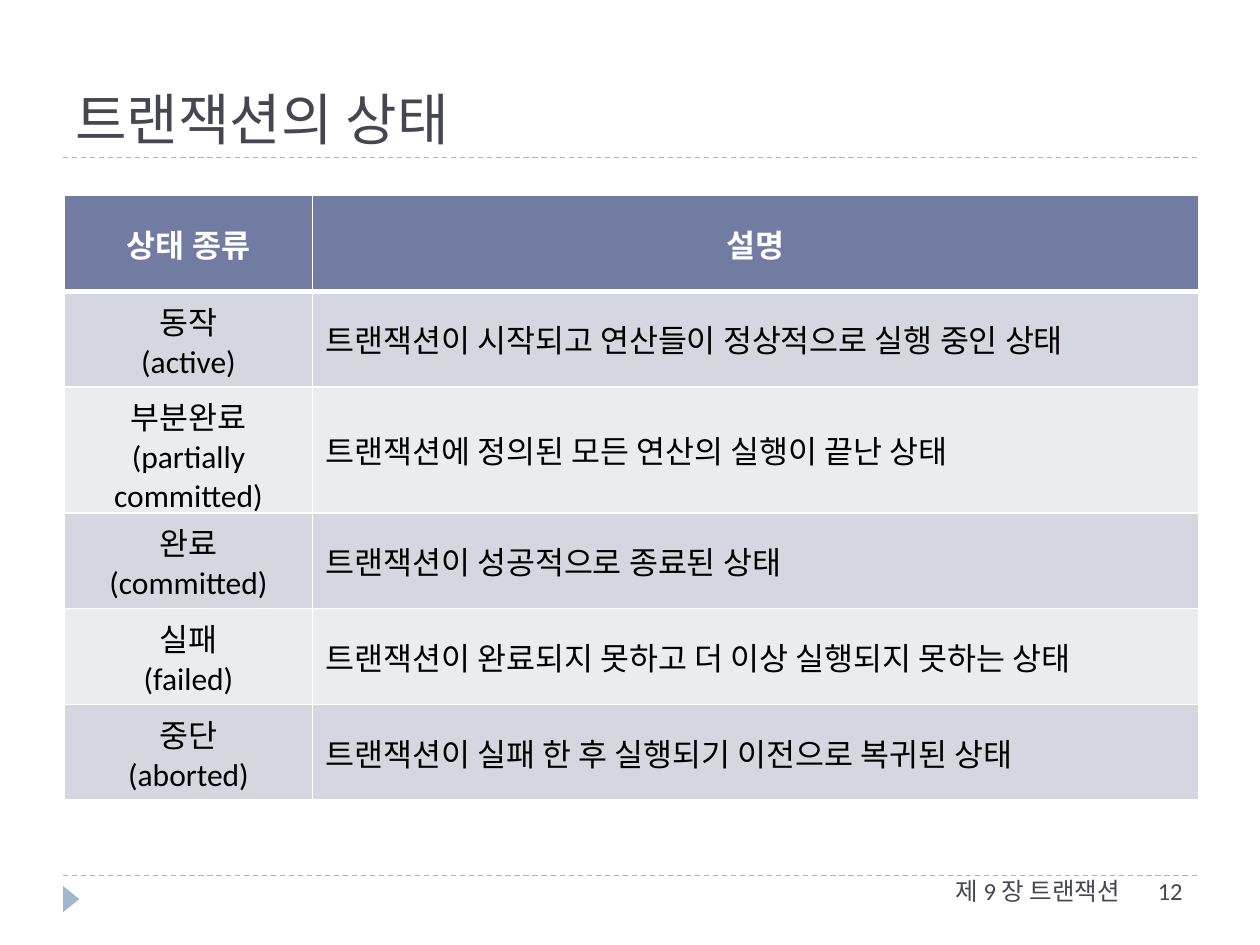
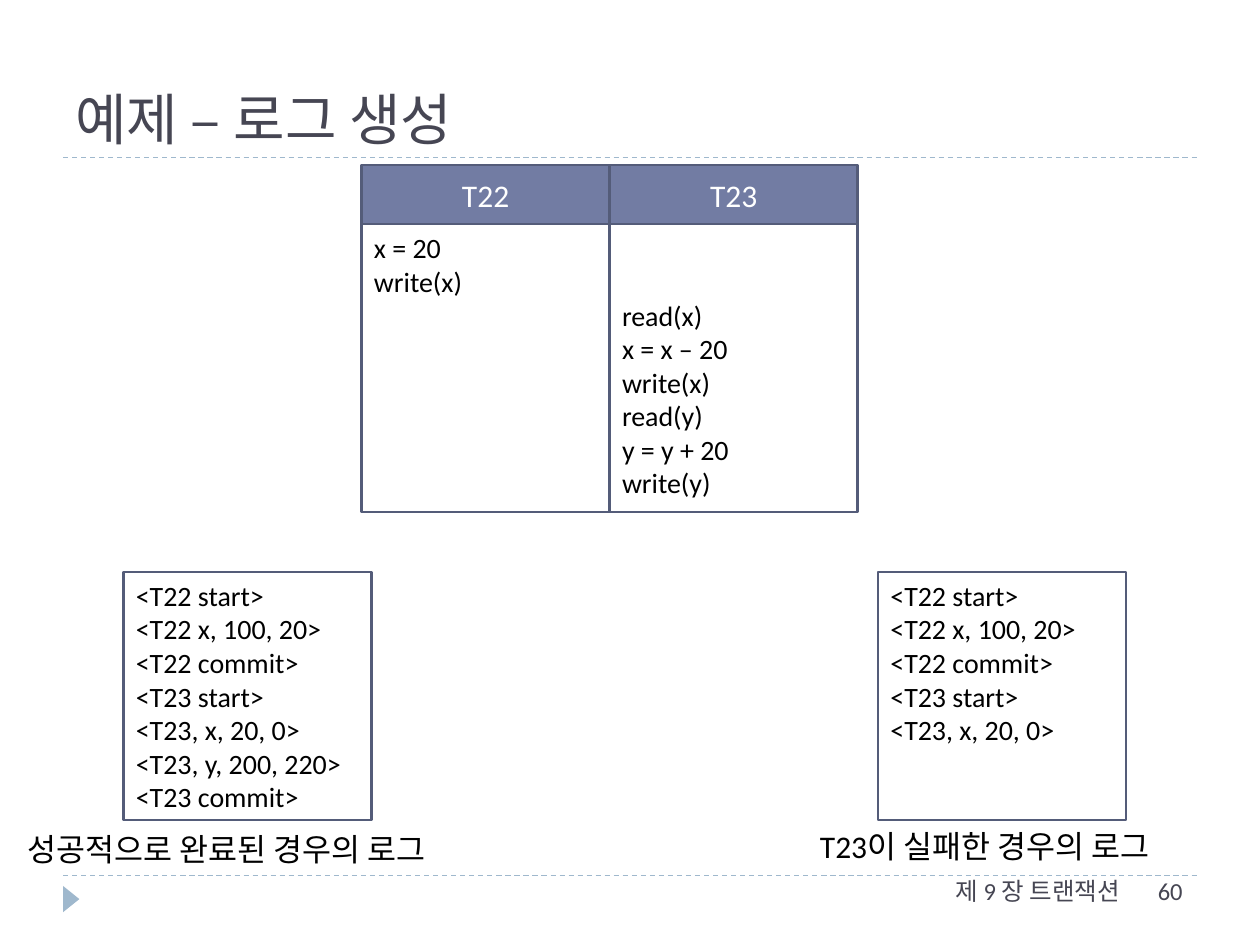
from dataclasses import dataclass
from lxml import etree
from pptx import Presentation, util as u
from pptx.dml.color import RGBColor
from pptx.enum import dml, shapes, text
from pptx.oxml import ns


@dataclass(frozen=True)
class Theme:
    ink: str = "464653"
    rule: str = "9FB8CD"
    header: str = "727CA3"
    outline: str = "545C79"
    bands: tuple = ("D5D7E0", "EBECF0")
    white: str = "FFFFFF"
    black: str = "000000"
    body_font: str = "Calibri"
    title_size: int = 32
    label_size: int = 18
    code_size: int = 16
    footer_size: int = 14


THEME = Theme()
LEFT, CENTER, RIGHT = text.PP_ALIGN.LEFT, text.PP_ALIGN.CENTER, text.PP_ALIGN.RIGHT
TOP, MIDDLE, BOTTOM = text.MSO_ANCHOR.TOP, text.MSO_ANCHOR.MIDDLE, text.MSO_ANCHOR.BOTTOM

# Content
CHAPTER = "제 9 장 트랜잭션"
STATES_TITLE, STATES_PAGE = "트랜잭션의 상태", "12"
STATES_HEADER = ("상태 종류", "설명")
STATES = [
    (("동작", "(active)"), "트랜잭션이 시작되고 연산들이 정상적으로 실행 중인 상태"),
    (("부분완료", "(partially committed)"), "트랜잭션에 정의된 모든 연산의 실행이 끝난 상태"),
    (("완료", "(committed)"), "트랜잭션이 성공적으로 종료된 상태"),
    (("실패", "(failed)"), "트랜잭션이 완료되지 못하고 더 이상 실행되지 못하는 상태"),
    (("중단", "(aborted)"), "트랜잭션이 실패 한 후 실행되기 이전으로 복귀된 상태"),
]
LOG_TITLE, LOG_PAGE = "예제 – 로그 생성", "60"
# Transaction name, its operations, and the step at which it begins
SCHEDULE = [
    ("T22", ["x = 20", "write(x)"], 0),
    ("T23", ["read(x)", "x = x – 20", "write(x)", "read(y)", "y = y + 20", "write(y)"], 2),
]
COMMON_LOG = ["<T22 start>", "<T22 x, 100, 20>", "<T22 commit>",
              "<T23 start>", "<T23, x, 20, 0>"]
# Log records and left edge, then caption with its left, top and width
LOGS = [
    (COMMON_LOG + ["<T23, y, 200, 220>", "<T23 commit>"], 2.49,
     "성공적으로 완료된 경우의 로그", (0.3, 16.61, 9.37)),
    (COMMON_LOG, 17.7, "T23이 실패한 경우의 로그", (16.28, 16.54, 7.85)),
]

# Shared measures, in centimetres
MARGIN, CONTENT_W = 1.27, 22.86
TITLE_RULE_Y, FOOTER_RULE_Y = 3.18, 17.65
BOX_W, INSET_Y, CODE_LINE = 5.0, 0.13, 0.68


def cm(*lengths):
    return [u.Cm(length) for length in lengths]


def rgb(colour):
    return RGBColor.from_string(colour)


def write(frame, lines, size, colour, align=LEFT, anchor=TOP, font=THEME.body_font, bold=False):
    frame.text = "\n".join(lines)
    frame.vertical_anchor = anchor
    for paragraph in frame.paragraphs:
        paragraph.alignment = align
        paragraph.font.name = font
        paragraph.font.size = u.Pt(size)
        paragraph.font.bold = bold
        paragraph.font.color.rgb = rgb(colour)


def add_label(slide, place, line, size, colour, wrap=True, **style):
    label = slide.shapes.add_textbox(*cm(*place))
    label.text_frame.word_wrap = wrap
    write(label.text_frame, [line], size, colour, **style)


def add_box(slide, place, fill, lines, size, colour, skipped=0, **style):
    box = slide.shapes.add_shape(shapes.MSO_SHAPE.RECTANGLE, *cm(*place))
    box.shadow.inherit = False
    box.fill.solid()
    box.fill.fore_color.rgb = rgb(fill)
    box.line.color.rgb = rgb(THEME.outline)
    box.line.width = u.Pt(1.5)
    box.text_frame.word_wrap = True
    box.text_frame.margin_top = u.Cm(INSET_Y + skipped * CODE_LINE)
    write(box.text_frame, lines, size, colour, **style)


def add_page(deck, title, title_font, page):
    slide = deck.slides.add_slide(deck.slide_layouts[6])
    # Dashed rules under the title and above the footer
    for y in (FOOTER_RULE_Y, TITLE_RULE_Y):
        rule = slide.shapes.add_connector(
            shapes.MSO_CONNECTOR.STRAIGHT, *cm(MARGIN, y, MARGIN + CONTENT_W, y))
        rule.line.color.rgb = rgb(THEME.rule)
        rule.line.width = u.Pt(0.75)
        rule.line.dash_style = dml.MSO_LINE.DASH
        etree.SubElement(rule.element.spPr, ns.qn("a:effectLst"))
    # Footer marker
    marker = slide.shapes.add_shape(
        shapes.MSO_SHAPE.ISOSCELES_TRIANGLE, *cm(1.17, 17.96, 0.53, 0.33))
    marker.rotation = 90
    marker.shadow.inherit = False
    marker.fill.solid()
    marker.fill.fore_color.rgb = rgb(THEME.rule)
    marker.line.fill.background()
    # Title and footer text
    add_label(slide, (MARGIN, 0.43, CONTENT_W, 2.75), title, THEME.title_size, THEME.ink,
              font=title_font, anchor=BOTTOM)
    add_label(slide, (13.18, 17.53, 9.65, 1.02), CHAPTER, THEME.footer_size, THEME.ink,
              align=RIGHT)
    add_label(slide, (23.09, 17.53, 1.8, 1.02), page, THEME.footer_size, THEME.ink)
    return slide


def style_cell(cell, fill, bottom_width):
    for side, width in (("L", 1), ("R", 1), ("T", 1), ("B", bottom_width)):
        border = etree.SubElement(cell._tc.get_or_add_tcPr(), ns.qn(f"a:ln{side}"),
                                  w=str(u.Pt(width)))
        paint = etree.SubElement(border, ns.qn("a:solidFill"))
        etree.SubElement(paint, ns.qn("a:srgbClr"), val=THEME.white)
    cell.fill.solid()
    cell.fill.fore_color.rgb = rgb(fill)


def build_states(deck):
    slide = add_page(deck, STATES_TITLE, "Arial", STATES_PAGE)
    row_h = 1.93
    rows = len(STATES) + 1
    states = slide.shapes.add_table(
        rows, 2, *cm(1.3, 3.94, CONTENT_W, row_h * rows)).table
    states.horz_banding = False
    for column, width in zip(states.columns, (BOX_W, CONTENT_W - BOX_W)):
        column.width = u.Cm(width)
    # Header row
    for col, heading in enumerate(STATES_HEADER):
        cell = states.cell(0, col)
        style_cell(cell, THEME.header, 3)
        write(cell.text_frame, [heading], THEME.label_size, THEME.white, CENTER, bold=True)
        cell.vertical_anchor = MIDDLE
    # One row per state
    for row, (names, description) in enumerate(STATES, 1):
        for col, (lines, align) in enumerate(((names, CENTER), ([description], LEFT))):
            cell = states.cell(row, col)
            style_cell(cell, THEME.bands[(row - 1) % 2], 1)
            write(cell.text_frame, lines, THEME.label_size, THEME.black, align)
            cell.vertical_anchor = MIDDLE


def build_logs(deck):
    slide = add_page(deck, LOG_TITLE, "Roboto Slab", LOG_PAGE)
    # Schedule: a heading above the operations of each transaction
    top, heading_h, steps_h = 3.33, 1.19, 5.8
    for index, (name, operations, start) in enumerate(SCHEDULE):
        left = 7.29 + index * BOX_W
        add_box(slide, (left, top, BOX_W, heading_h), THEME.header, [name],
                THEME.label_size, THEME.white, align=CENTER, anchor=MIDDLE)
        add_box(slide, (left, top + heading_h, BOX_W, steps_h), THEME.white, operations,
                THEME.code_size, THEME.black, skipped=start)
    # Resulting logs with captions
    for records, left, caption, (x, y, width) in LOGS:
        add_box(slide, (left, 11.53, BOX_W, BOX_W), THEME.white, records,
                THEME.code_size, THEME.black)
        add_label(slide, (x, y, width, 1.02), caption, THEME.label_size, THEME.black,
                  wrap=False)


def main():
    deck = Presentation()
    deck.slide_width, deck.slide_height = cm(25.4, 19.05)
    build_states(deck)
    build_logs(deck)
    deck.save("out.pptx")


if __name__ == "__main__":
    main()
